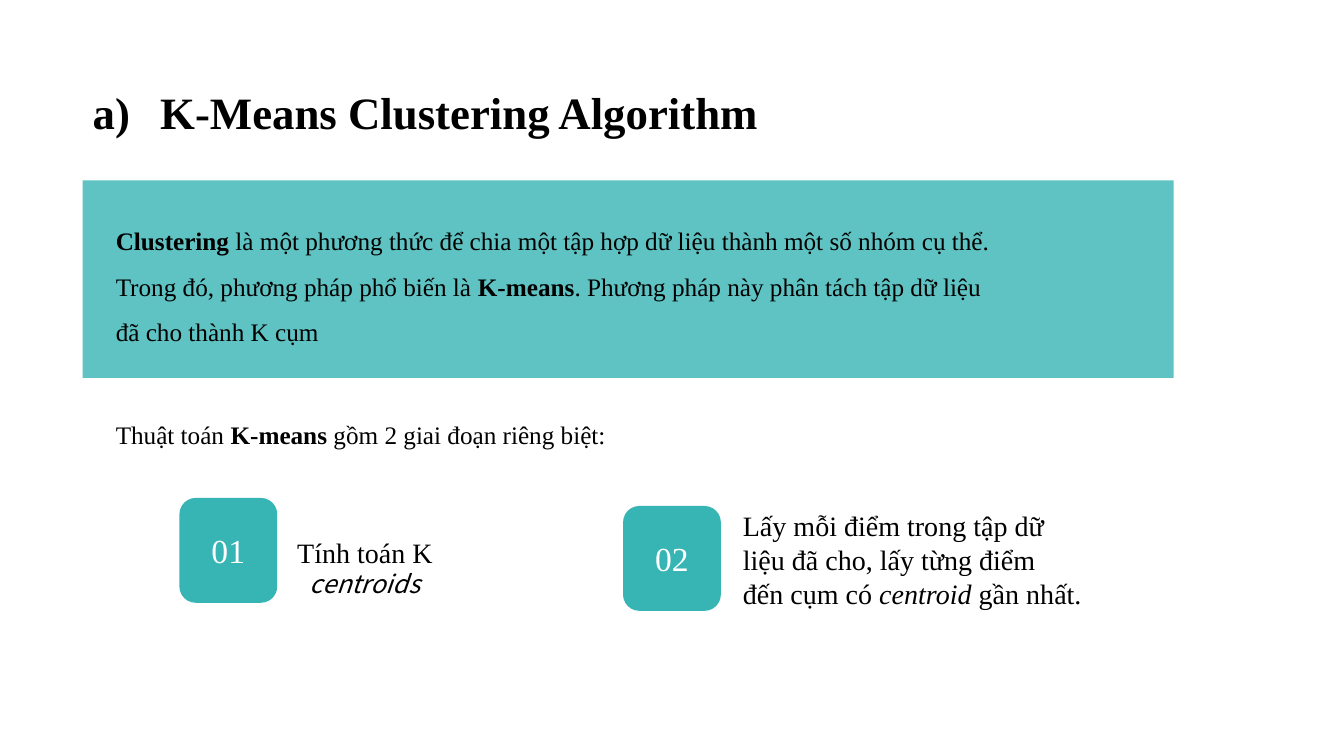
from lxml import etree
from pptx import Presentation
from pptx.dml.color import RGBColor
from pptx.enum.shapes import MSO_SHAPE
from pptx.enum.text import MSO_ANCHOR, PP_ALIGN
from pptx.oxml.ns import qn
from pptx.util import Inches, Pt

RECT, ROUNDED = MSO_SHAPE.RECTANGLE, MSO_SHAPE.ROUNDED_RECTANGLE
LEFT, CENTER = PP_ALIGN.LEFT, PP_ALIGN.CENTER
MIDDLE = MSO_ANCHOR.MIDDLE
SERIF, SANS = "Times New Roman", "Noto Sans CJK SC"
TEAL, BLACK, WHITE = "37B5B5", "000000", "FFFFFF"


def rgb(color):
    return RGBColor.from_string(color)


def add_runs(sp, runs, size, color=BLACK, align=LEFT):
    """Fill the first paragraph with (text, style) runs; b is bold, i is italic."""
    tf = sp.text_frame
    tf.word_wrap = True
    p = tf.paragraphs[0]
    p.alignment = align
    for text, style in runs:
        r = p.add_run()
        r.text = text
        r.font.name = SERIF
        r.font.size = Pt(size)
        r.font.bold = "b" in style
        r.font.italic = "i" in style
        r.font.color.rgb = rgb(color)
    return p


prs = Presentation()
prs.slide_width, prs.slide_height = Inches(13.33), Inches(7.5)
s = prs.slides.add_slide(prs.slide_layouts[6])

# Definition panel, 80 % opaque
panel = s.shapes.add_shape(RECT, Inches(0.82), Inches(1.79), Inches(10.82), Inches(1.96))
panel.shadow.inherit = False
panel.fill.solid()
panel.fill.fore_color.rgb = rgb(TEAL)
panel.line.fill.background()
fill_color = panel._element.spPr.find(qn("a:solidFill"))[0]
etree.SubElement(fill_color, qn("a:alpha")).set("val", "80000")

definition = s.shapes.add_textbox(Inches(1.05), Inches(2.04), Inches(9.03), Inches(1.46))
p = add_runs(definition, [
    ("Clustering", "b"),
    (" là một phương thức để chia một tập hợp dữ liệu thành một số nhóm cụ thể. "
     "Trong đó, phương pháp phổ biến là ", ""),
    ("K-means", "b"),
    (". Phương pháp này phân tách tập dữ liệu đã cho thành K cụm", ""),
], 18)
p.line_spacing = 1.5

# Title, lettered a)
title = s.shapes.add_textbox(Inches(0.82), Inches(0.79), Inches(6.99), Inches(0.64))
p = add_runs(title, [("K-Means Clustering Algorithm", "b")], 32)
pPr = p._p.get_or_add_pPr()
pPr.set("marL", str(Inches(0.67)))
pPr.set("indent", str(-Inches(0.67)))
etree.SubElement(pPr, qn("a:buFont")).set("typeface", SERIF)
etree.SubElement(pPr, qn("a:buAutoNum")).set("type", "alphaLcParenR")

# Introduction to the two stages
intro = s.shapes.add_textbox(Inches(1.05), Inches(4.11), Inches(5.17), Inches(0.4))
add_runs(intro, [("Thuật toán ", ""), ("K-means ", "b"),
                 ("gồm 2 giai đoạn riêng biệt:", "")], 18)

# Stage descriptions
stage1 = s.shapes.add_textbox(Inches(2.75), Inches(5.26), Inches(1.74), Inches(0.74))
p = add_runs(stage1, [("Tính toán K ", ""), ("centroids", "i")], 20, align=CENTER)
p.runs[1].font.name = SANS
p.runs[1].font.size = Pt(18)

stage2 = s.shapes.add_textbox(Inches(7.27), Inches(5), Inches(3.57), Inches(1.78))
add_runs(stage2, [
    ("Lấy mỗi điểm trong tập dữ liệu đã cho, lấy từng điểm đến cụm có ", ""),
    ("centroid ", "i"),
    ("gần nhất.", ""),
], 20)

# Stage numbers
for number, left, top in [("01", 1.78, 4.94), ("02", 6.18, 5.02)]:
    sp = s.shapes.add_shape(ROUNDED, Inches(left), Inches(top), Inches(0.97), Inches(1.04))
    sp.shadow.inherit = False
    sp.fill.solid()
    sp.fill.fore_color.rgb = rgb(TEAL)
    sp.line.fill.background()
    sp.text_frame.vertical_anchor = MIDDLE
    add_runs(sp, [(number, "")], 24, WHITE, CENTER)

prs.save("out.pptx")
